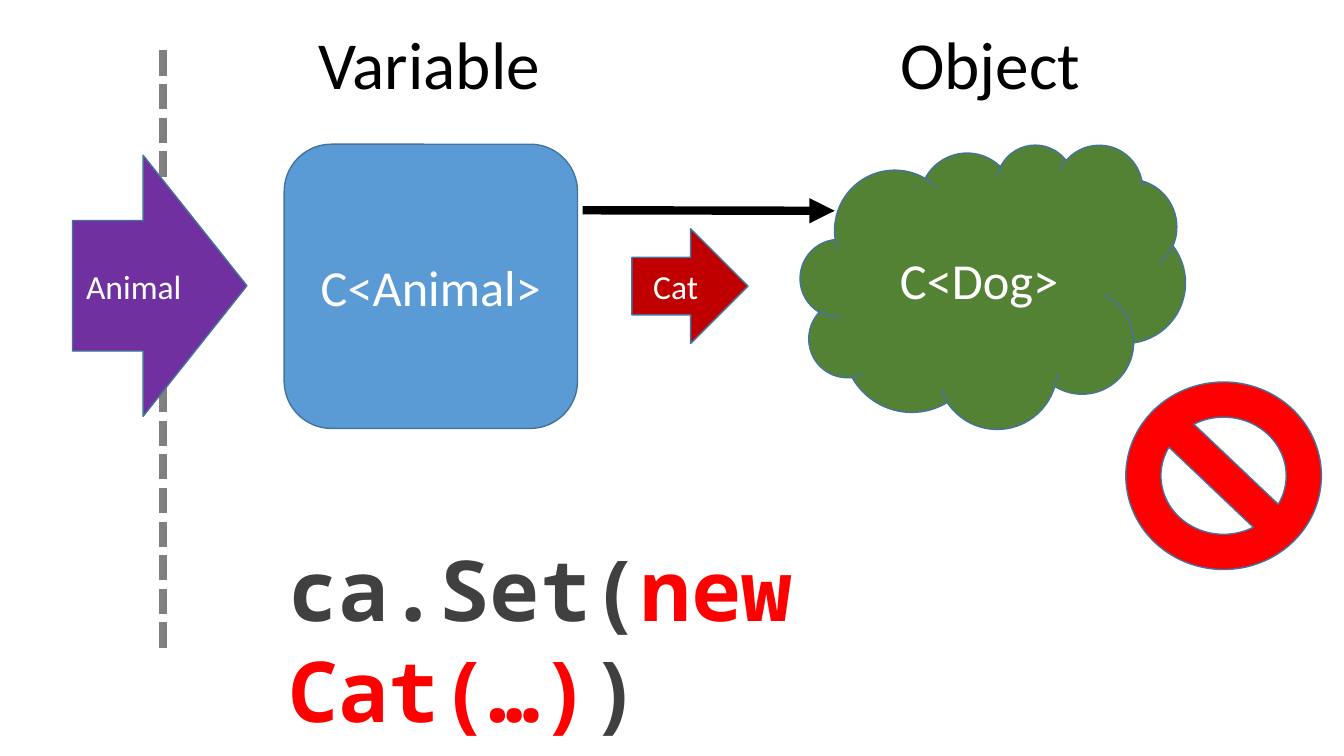
from dataclasses import dataclass

import pptx
import pptx.dml.color
import pptx.enum.dml
import pptx.enum.shapes
import pptx.enum.text
import pptx.oxml
import pptx.oxml.ns
import pptx.util

Pt = pptx.util.Pt
Preset = pptx.enum.shapes.MSO_SHAPE
Dash = pptx.enum.dml.MSO_LINE

COLOURS = {
    "outline": "43739E", "white": "FFFFFF", "black": "000000", "blue": "5B9BD5",
    "green": "548235", "crimson": "C00000", "purple": "7030A0", "red": "FF0000",
    "charcoal": "404040", "grey": "808080",
}
LABEL = {"name": "Calibri", "bold": False}
CODE = {"name": "Noto Sans Mono", "bold": True, "size": Pt(60)}


@dataclass
class Figure:
    preset: int
    box: tuple[float, float, float, float]
    fill: str
    text: str = ""
    size: float = 24
    adjustments: tuple[float, ...] = ()


@dataclass
class Caption:
    box: tuple[float, float, float, float]
    runs: tuple[tuple[str, str], ...]
    font: dict
    wrap: bool = False


@dataclass
class Line:
    start: tuple[float, float]
    end: tuple[float, float]
    colour: str
    dash: int | None = None
    arrow: bool = False


HEADING = {**LABEL, "size": Pt(48)}
ELEMENTS = (
    Figure(Preset.NO_SYMBOL, (804.2, 272.9, 139.7, 133.9), "red"),
    Figure(Preset.ROUNDED_RECTANGLE, (203, 103, 209.5, 203), "blue", "C<Animal>", 36),
    Figure(Preset.CLOUD, (571.7, 103, 275, 203), "green", "C<Dog>", 36),
    Caption((220.3, 12.2, 174.2, 65.5), (("Variable", "black"),), HEADING),
    Caption((635.8, 12.2, 144.7, 65.5), (("Object", "black"),), HEADING),
    Caption((198.7, 380.2, 614.2, 80),
            (("ca.Set(", "charcoal"), ("new Cat(…)", "red"), (")", "charcoal")), CODE, True),
    Figure(Preset.RIGHT_ARROW, (451.4, 163.4, 83, 82), "crimson", "Cat"),
    Line((116.6, 36), (116.6, 468), "grey", Dash.SQUARE_DOT),
    Figure(Preset.RIGHT_ARROW, (51.8, 110.9, 124.6, 186.5), "purple", "Animal",
           adjustments=(0.5, 0.595)),
    Line((416.2, 150.2), (596.2, 150.6), "black", arrow=True),
)


def colour(name: str) -> pptx.dml.color.RGBColor:
    """Return the named colour."""
    return pptx.dml.color.RGBColor.from_string(COLOURS[name])


def add_run(paragraph, text: str, colour_name: str, font: dict) -> None:
    """Append a run formatted from a dict of font values."""
    run = paragraph.add_run()
    run.text = text
    run.font.color.rgb = colour(colour_name)
    for attribute, value in font.items():
        setattr(run.font, attribute, value)


def draw_figure(slide, figure: Figure) -> None:
    """Draw a filled preset shape with an optional centred label."""
    shape = slide.shapes.add_shape(figure.preset, *map(Pt, figure.box))
    shape.shadow.inherit = False
    for index, value in enumerate(figure.adjustments):
        shape.adjustments[index] = value
    shape.fill.solid()
    shape.fill.fore_color.rgb = colour(figure.fill)
    shape.line.color.rgb = colour("outline")
    shape.line.width = Pt(1)
    if figure.text:
        shape.text_frame.vertical_anchor = pptx.enum.text.MSO_ANCHOR.MIDDLE
        paragraph = shape.text_frame.paragraphs[0]
        paragraph.alignment = pptx.enum.text.PP_ALIGN.CENTER
        add_run(paragraph, figure.text, "white", {**LABEL, "size": Pt(figure.size)})


def draw_caption(slide, caption: Caption) -> None:
    """Draw a text box made of coloured runs."""
    text_frame = slide.shapes.add_textbox(*map(Pt, caption.box)).text_frame
    text_frame.word_wrap = caption.wrap
    for text, colour_name in caption.runs:
        add_run(text_frame.paragraphs[0], text, colour_name, caption.font)


def draw_line(slide, line: Line) -> None:
    """Draw a thick straight line, dashed or with an arrowhead."""
    connector = slide.shapes.add_connector(
        pptx.enum.shapes.MSO_CONNECTOR.STRAIGHT, *map(Pt, line.start + line.end))
    connector.line.color.rgb = colour(line.colour)
    connector.line.width = Pt(6)
    if line.dash is not None:
        connector.line.dash_style = line.dash
    if line.arrow:
        tail = pptx.oxml.parse_xml(
            f'<a:tailEnd {pptx.oxml.ns.nsdecls("a")} type="triangle"/>')
        connector.line._get_or_add_ln().append(tail)
    connector._element.spPr.append(
        pptx.oxml.parse_xml(f'<a:effectLst {pptx.oxml.ns.nsdecls("a")}/>'))


def main() -> None:
    """Build the slide and save it."""
    presentation = pptx.Presentation()
    presentation.slide_width, presentation.slide_height = Pt(960), Pt(540)
    slide = presentation.slides.add_slide(presentation.slide_layouts[6])
    draw = {Figure: draw_figure, Caption: draw_caption, Line: draw_line}
    for element in ELEMENTS:
        draw[type(element)](slide, element)
    presentation.save("out.pptx")


if __name__ == "__main__":
    main()
